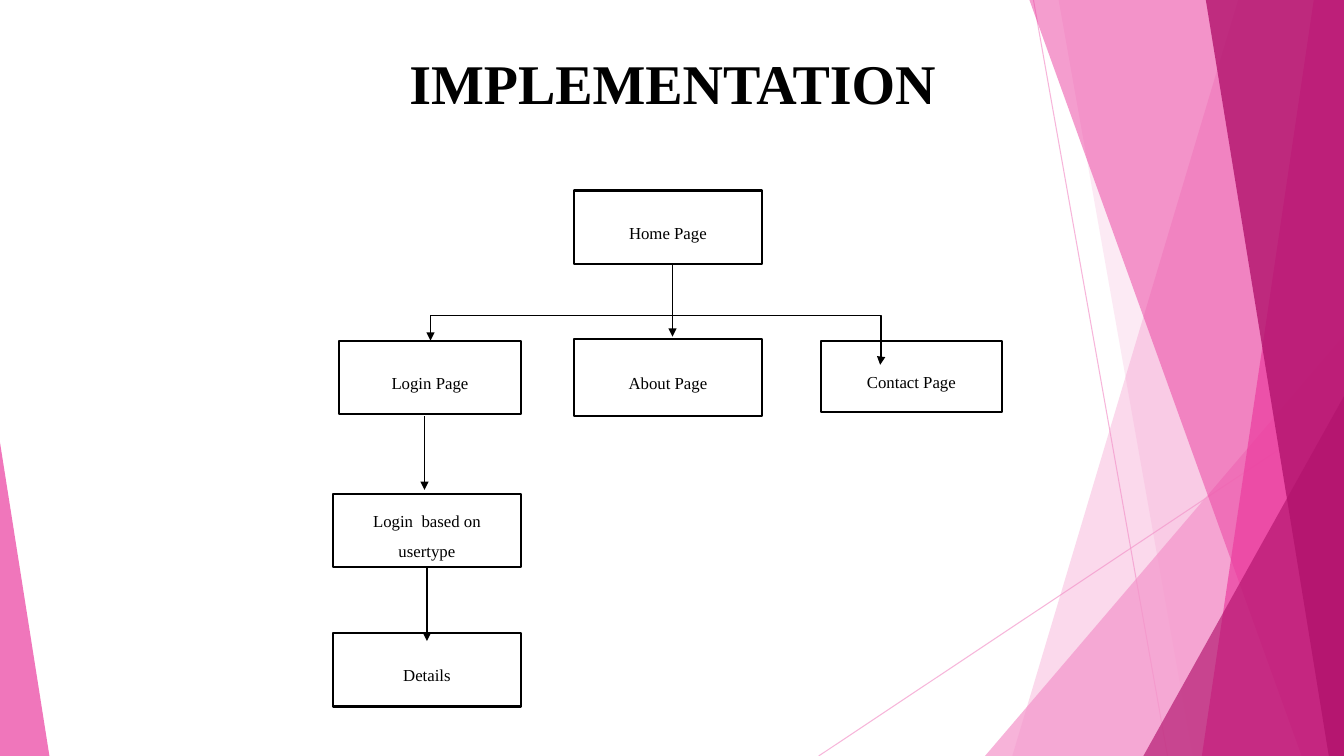
from dataclasses import dataclass

from lxml import etree
from pptx import Presentation
from pptx.dml.color import RGBColor
from pptx.enum.shapes import MSO_CONNECTOR, MSO_SHAPE
from pptx.enum.text import MSO_ANCHOR, PP_ALIGN
from pptx.oxml.ns import qn
from pptx.util import Inches, Pt

STRAIGHT, ELBOW = MSO_CONNECTOR.STRAIGHT, MSO_CONNECTOR.ELBOW
RECTANGLE, TRIANGLE = MSO_SHAPE.RECTANGLE, MSO_SHAPE.ISOSCELES_TRIANGLE
MIDDLE, TOP, CENTER = MSO_ANCHOR.MIDDLE, MSO_ANCHOR.TOP, PP_ALIGN.CENTER

FONT = "Times New Roman"
BLACK, WHITE = "000000", "FFFFFF"
LIGHT, PINK, DARK = "F496CB", "EB3D9F", "B2136D"
WIDTH, HEIGHT = 13.33, 7.5
BOTTOM = 2


@dataclass
class Band:
    """Area from a slanted left edge to the right side of the slide."""
    top_x: float
    bottom_x: float
    color: str
    alpha: int


@dataclass
class Corner:
    """Right triangle standing on the bottom of the slide."""
    left: float
    top: float
    width: float
    apex: float
    color: str
    alpha: int


@dataclass
class Box:
    text: str
    left: float
    top: float
    width: float
    height: float


@dataclass
class Line:
    x1: float
    y1: float
    x2: float
    y2: float


RAYS = [Line(10.25, 0, 11.58, HEIGHT), Line(WIDTH, 4.03, 8.12, HEIGHT)]
DECOR = [
    Band(12.28, 10.04, LIGHT, 36),
    Band(10.5, 11.83, LIGHT, 20),
    Corner(9.77, 3.33, 3.56, 1, LIGHT, 72),
    Band(10.21, 12.91, PINK, 50),
    Band(13.03, 11.92, PINK, 70),
    Band(11.96, 13.18, DARK, 80),
    Corner(11.34, 3.93, 1.99, 1, DARK, 66),
    Corner(0, 4.39, 0.49, 0, PINK, 70),
]
BOXES = [
    Box("Home Page", 5.69, 1.89, 1.87, 0.73),
    Box("Login Page", 3.36, 3.38, 1.81, 0.73),
    Box("About Page", 5.69, 3.36, 1.87, 0.77),
    Box("Contact Page", 8.14, 3.38, 1.8, 0.71),
    Box("Login  based on usertype", 3.3, 4.9, 1.87, 0.73),
    Box("Details", 3.3, 6.28, 1.87, 0.73),
]
HOME_TO_ABOUT = Line(6.67, 2.61, 6.67, 3.34)
LOGIN_TO_USERTYPE = Line(4.21, 4.13, 4.21, 4.86)
USERTYPE_TO_DETAILS = Line(4.24, 5.63, 4.24, 6.36)


def paint(fmt, color: str, alpha: int = 100) -> None:
    """Give a fill a solid colour with an opacity in percent."""
    fmt.solid()
    fmt.fore_color.rgb = RGBColor.from_string(color)
    if alpha < 100:
        srgb = fmt._xPr.find(qn("a:solidFill")).find(qn("a:srgbClr"))
        etree.SubElement(srgb, qn("a:alpha"), val=str(alpha * 1000))


def add_line(shapes, line: Line, color: str, width: float, alpha: int = 100,
             kind=STRAIGHT):
    c = shapes.add_connector(kind, Inches(line.x1), Inches(line.y1),
                             Inches(line.x2), Inches(line.y2))
    c.line.width = Pt(width)
    paint(c.line.fill, color, alpha)
    etree.SubElement(c._element.spPr, qn("a:effectLst"))
    return c


def add_arrowheads(c, *ends: str) -> None:
    for end in ends:
        etree.SubElement(c.line._ln, qn(f"a:{end}"), type="triangle")


def add_arrow(shapes, line: Line):
    c = add_line(shapes, line, BLACK, 1)
    add_arrowheads(c, "tailEnd")
    return c


def add_fork(shapes) -> None:
    """Draw the double-headed elbow between the login and contact pages."""
    c = add_line(shapes, Line(6.38, 1.27, 6.62, 5.73), BLACK, 1, kind=ELBOW)
    add_arrowheads(c, "headEnd", "tailEnd")
    xfrm = c._element.spPr.find(qn("a:xfrm"))
    xfrm.set("rot", str(270 * 60000))
    xfrm.set("flipH", "1")
    geom = c._element.spPr.find(qn("a:prstGeom"))
    geom.set("prst", "bentConnector4")
    guides = geom.find(qn("a:avLst"))
    for name, value in (("adj1", -102800), ("adj2", 100200)):
        etree.SubElement(guides, qn("a:gd"), name=name, fmla=f"val {value}")


def add_decor(shapes, item: Band | Corner) -> None:
    if isinstance(item, Band):
        builder = shapes.build_freeform(Inches(item.top_x), 0, scale=1.0)
        corners = [(WIDTH, 0), (WIDTH, HEIGHT), (item.bottom_x, HEIGHT)]
        builder.add_line_segments([(Inches(x), Inches(y)) for x, y in corners])
        sp = builder.convert_to_shape()
    else:
        sp = shapes.add_shape(TRIANGLE, Inches(item.left), Inches(item.top),
                              Inches(item.width), Inches(HEIGHT - item.top))
        sp.adjustments[0] = item.apex
    sp.shadow.inherit = False
    sp.line.fill.background()
    paint(sp.fill, item.color, item.alpha)


def write(p, text: str, size: float, bold: bool = False) -> None:
    p.alignment = CENTER
    r = p.add_run()
    r.text = text
    r.font.name, r.font.size, r.font.bold = FONT, Pt(size), bold
    paint(r.font.fill, BLACK)


def add_box(shapes, box: Box):
    sp = shapes.add_shape(RECTANGLE, Inches(box.left), Inches(box.top),
                          Inches(box.width), Inches(box.height))
    sp.shadow.inherit = False
    paint(sp.fill, WHITE)
    paint(sp.line.fill, BLACK)
    sp.line.width = Pt(1.5)
    tf = sp.text_frame
    tf.word_wrap = True
    tf.vertical_anchor = MIDDLE
    tf.margin_left = tf.margin_right = Inches(0.15)
    p = tf.paragraphs[0]
    p.line_spacing = 1.5
    write(p, box.text, 12)
    return sp


def format_title(title) -> None:
    title.left, title.top = Inches(1.4), Inches(0.43)
    title.width, title.height = Inches(10.54), Inches(0.77)
    title.text_frame.vertical_anchor = TOP
    write(title.text_frame.paragraphs[0], "IMPLEMENTATION", 40, bold=True)


def main() -> None:
    prs = Presentation()
    prs.slide_width, prs.slide_height = Inches(WIDTH), Inches(HEIGHT)
    slide = prs.slides.add_slide(prs.slide_layouts.get_by_name("Title Only"))
    paint(slide.background.fill, WHITE)
    shapes = slide.shapes
    format_title(shapes.title)

    for ray in RAYS:
        add_line(shapes, ray, LIGHT, 0.75, 70)
    for item in DECOR:
        add_decor(shapes, item)

    pages = {box.text: add_box(shapes, box) for box in BOXES}
    add_arrow(shapes, HOME_TO_ABOUT)
    add_arrow(shapes, LOGIN_TO_USERTYPE)
    add_fork(shapes)
    c = add_arrow(shapes, USERTYPE_TO_DETAILS)
    c.begin_connect(pages["Login  based on usertype"], BOTTOM)
    c.end_x = c.begin_x

    prs.save("out.pptx")


if __name__ == "__main__":
    main()
